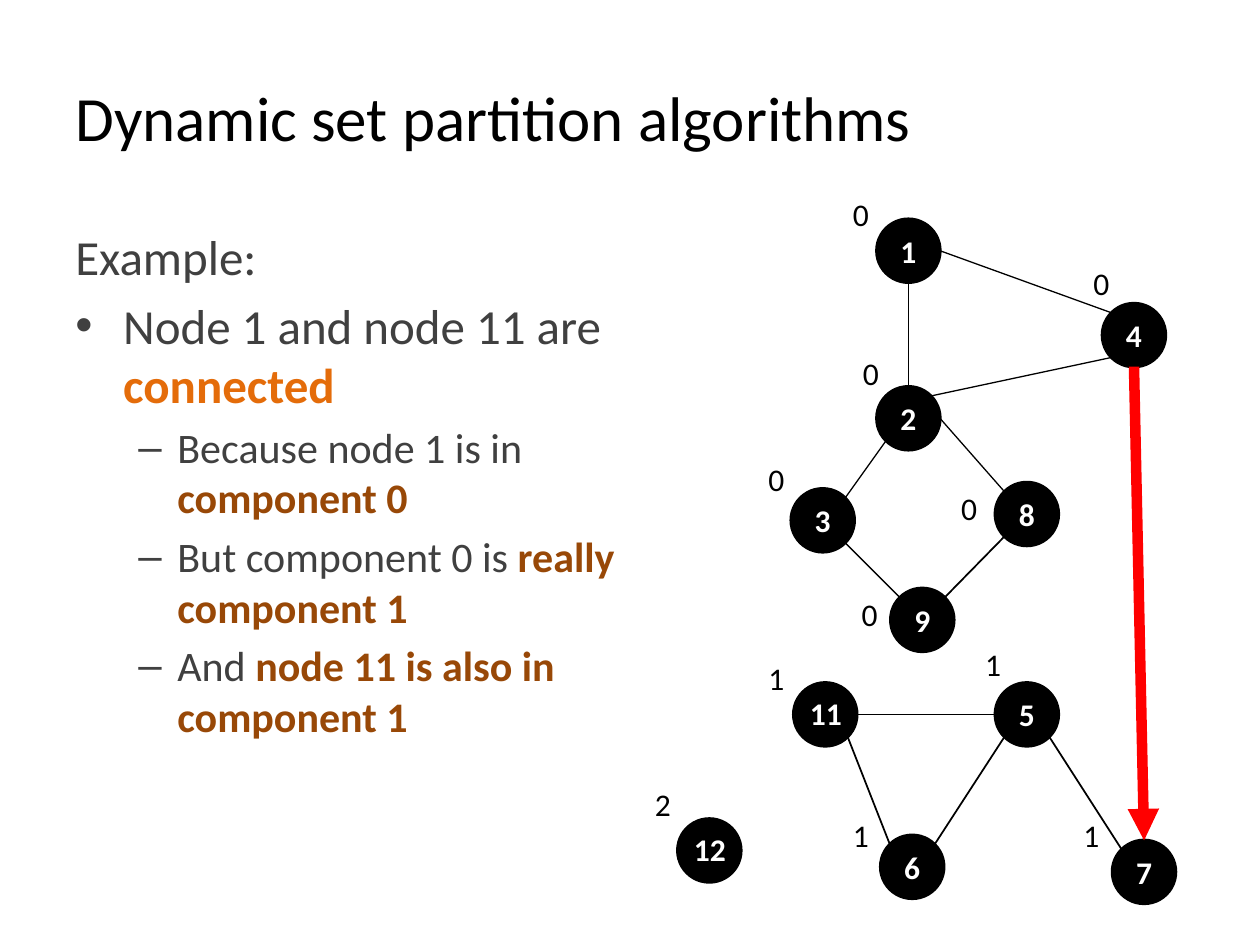
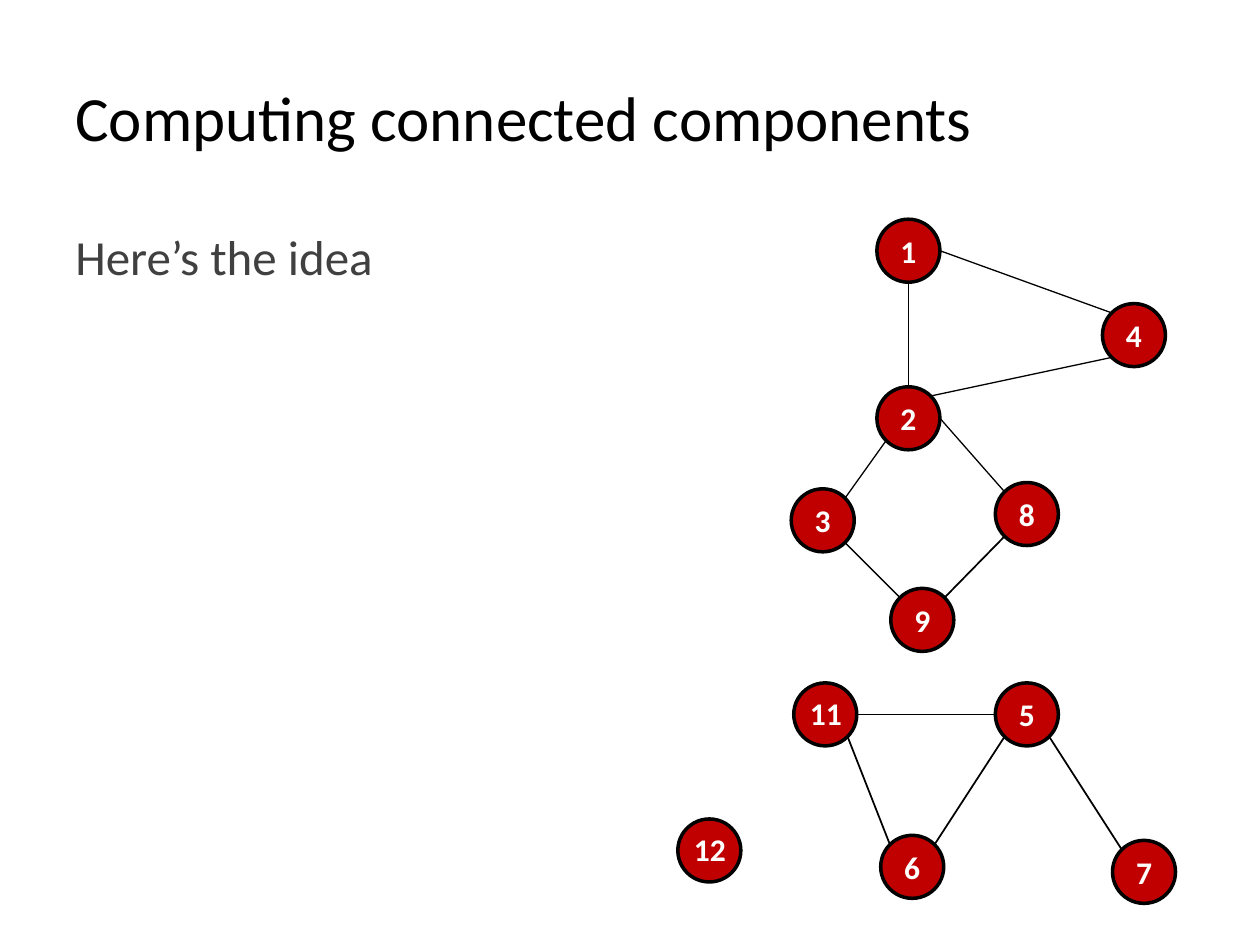
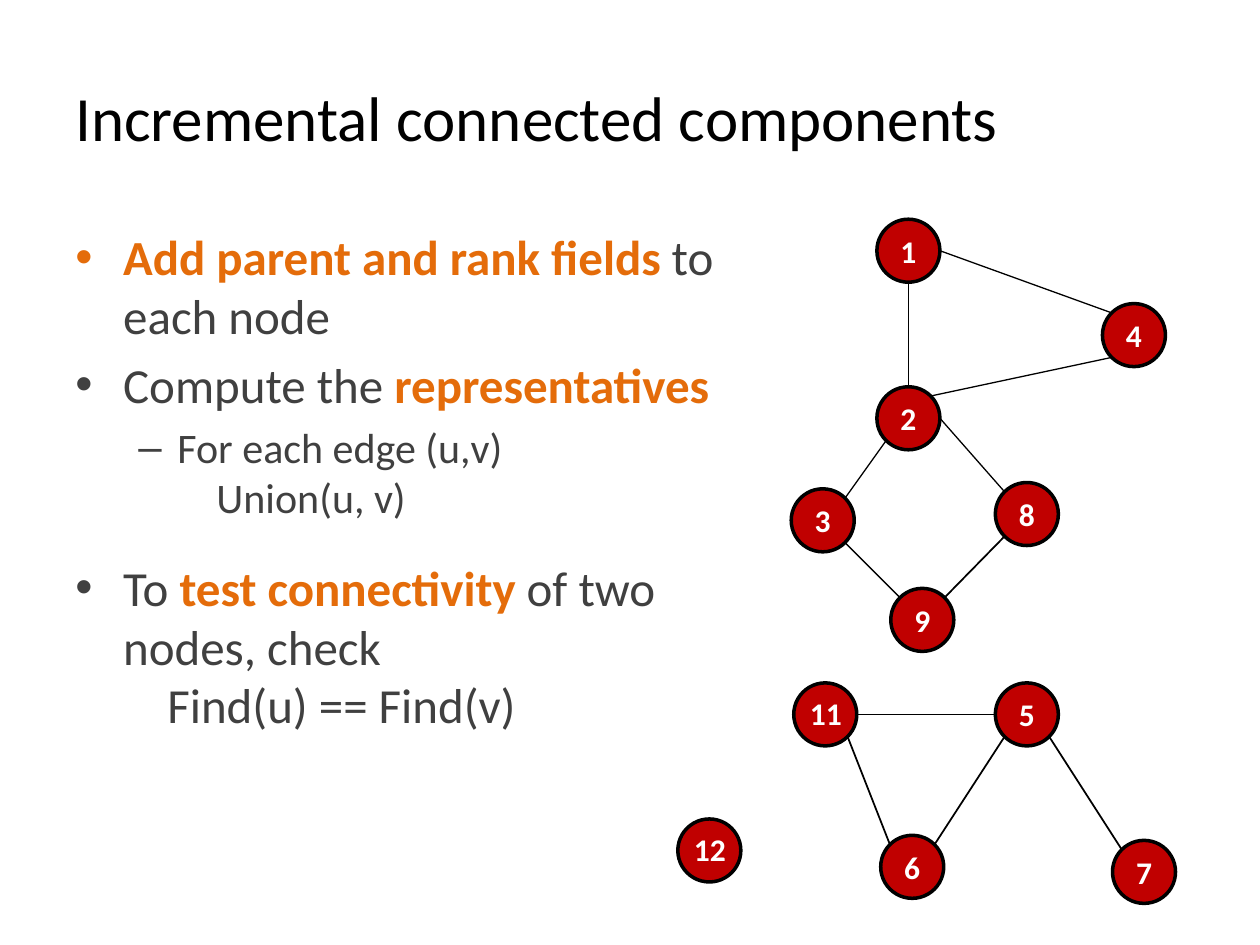
from lxml.etree import SubElement
from pptx import Presentation
from pptx.dml.color import RGBColor
from pptx.enum.shapes import MSO_CONNECTOR, MSO_SHAPE
from pptx.enum.text import MSO_ANCHOR, MSO_AUTO_SIZE, PP_ALIGN
from pptx.oxml.ns import qn
from pptx.util import Pt

PX = 9144
SIZE = 50
DIAG = 0.5 ** 0.5
FONT = "Calibri"
COLORS = {
    "black": "000000",
    "white": "FFFFFF",
    "gray": "404040",
    "orange": "E46C0A",
    "brown": "984807",
    "maroon": "C00000",
    "red": "FF0000",
}
NODES = {
    "2": (696, 307), "3": (628, 388), "5": (790, 542), "4": (875, 241),
    "7": (883, 667), "6": (699, 663), "1": (696, 174), "8": (790, 383),
    "9": (707, 467), "11": (630, 542), "12": (538, 650),
}
SIDES = {
    "n": (0, -1), "e": (1, 0), "s": (0, 1), "w": (-1, 0),
    "ne": (DIAG, -DIAG), "se": (DIAG, DIAG),
    "sw": (-DIAG, DIAG), "nw": (-DIAG, -DIAG),
}
EDGES = [
    ("5", "se", "7", "nw", 1), ("6", "ne", "5", "sw", 1),
    ("3", "ne", "2", "sw", 0.75), ("2", "ne", "4", "sw", 0.75),
    ("1", "s", "2", "n", 0.75), ("4", "nw", "1", "e", 0.75),
    ("9", "ne", "8", "sw", 1), ("3", "se", "9", "nw", 0.75),
    ("2", "e", "8", "nw", 0.75), ("6", "nw", "11", "se", 1),
    ("5", "w", "11", "e", 1),
]
TAGS = [
    ("0", 667, 150), ("0", 675, 276), ("0", 600, 360), ("0", 674, 467),
    ("0", 753, 383), ("0", 858, 205), ("1", 772, 507), ("1", 667, 643),
    ("1", 600, 518), ("1", 850, 643), ("2", 510, 618),
]
LEVELS = {
    "plain": (0, 28, 0, 0, None),
    "dot": (0, 28, 38, -38, "•"),
    "dash": (1, 24, 81, -31, "–"),
    "dot code": (0, 28, 73, 0, None),
    "dash code": (1, 24, 112, 0, None),
}


def color(name):
    return RGBColor.from_string(COLORS[name])


class Deck:
    def __init__(self):
        self.file = Presentation()
        self.file.slide_width = 1000 * PX
        self.file.slide_height = 750 * PX
        self.slide = None

    def page(self, title):
        self.slide = self.file.slides.add_slide(self.file.slide_layouts[6])
        frame = self.box(50, 30, 900, 125)
        frame.vertical_anchor = MSO_ANCHOR.MIDDLE
        self.run(frame.paragraphs[0], title, 36, "black")

    def box(self, x, y, w, h, wrap=True):
        box = self.slide.shapes.add_textbox(x * PX, y * PX, w * PX, h * PX)
        frame = box.text_frame
        frame.word_wrap = wrap
        frame.auto_size = MSO_AUTO_SIZE.NONE if wrap else MSO_AUTO_SIZE.SHAPE_TO_FIT_TEXT
        return frame

    def run(self, para, text, size, tint, bold=False):
        run = para.add_run()
        run.text = text
        run.font.name = FONT
        run.font.size = Pt(size)
        run.font.bold = bold
        run.font.color.rgb = color(tint)

    def body(self, items):
        frame = self.box(50, 175, 537, 495)
        for spot, (kind, gap, runs) in enumerate(items):
            para = frame.add_paragraph() if spot else frame.paragraphs[0]
            level, size, left, hang, mark = LEVELS[kind]
            para.level = level
            para.space_before = Pt(size / 5 if gap is None else gap)
            props = para._p.get_or_add_pPr()
            props.set("marL", str(left * PX))
            props.set("indent", str(hang * PX))
            if mark:
                SubElement(props, qn("a:buFont")).set("typeface", "Arial")
                SubElement(props, qn("a:buChar")).set("char", mark)
            for text, tint in runs:
                self.run(para, text, size, tint, tint != "gray")

    def label(self, text, x, y, w, tint="black", bold=False):
        frame = self.box(x, y, w, 40, False)
        self.run(frame.paragraphs[0], text, 18, tint, bold)

    def node(self, name, fill):
        x, y = NODES[name]
        disc = self.slide.shapes.add_shape(MSO_SHAPE.OVAL, x * PX, y * PX, SIZE * PX, SIZE * PX)
        disc.shadow.inherit = False
        disc.fill.solid()
        disc.fill.fore_color.rgb = color(fill)
        disc.line.color.rgb = color("black")
        disc.line.width = Pt(2)
        if len(name) > 1:
            self.label(name, x + 3, y + 4, 46, "white", True)
            return
        frame = disc.text_frame
        frame.vertical_anchor = MSO_ANCHOR.MIDDLE
        para = frame.paragraphs[0]
        para.alignment = PP_ALIGN.CENTER
        self.run(para, name, 18, "white", True)

    def point(self, name, side):
        return [round((base + SIZE / 2 * (1 + step)) * PX)
                for base, step in zip(NODES[name], SIDES[side])]

    def edge(self, start, out, end, into, width, tint="black", arrow=False):
        line = self.slide.shapes.add_connector(
            MSO_CONNECTOR.STRAIGHT, *self.point(start, out), *self.point(end, into))
        line.line.color.rgb = color(tint)
        line.line.width = Pt(width)
        if arrow:
            SubElement(line.line._get_or_add_ln(), qn("a:tailEnd")).set("type", "triangle")
        SubElement(line._element.spPr, qn("a:effectLst"))

    def graph(self, fill):
        for name in NODES:
            self.node(name, fill)
        for edge in EDGES:
            self.edge(*edge)


def main():
    deck = Deck()

    deck.page("Dynamic set partition algorithms")
    deck.body([
        ("plain", None, [("Example:", "gray")]),
        ("dot", None, [("Node 1 and node 11 are ", "gray"), ("connected", "orange")]),
        ("dash", None, [("Because node 1 is in ", "gray"), ("component 0", "brown")]),
        ("dash", None, [("But component 0 is ", "gray"), ("really component 1", "brown")]),
        ("dash", None, [("And ", "gray"), ("node 11 is also in component 1", "brown")]),
    ])
    deck.graph("black")
    for text, x, y in TAGS:
        deck.label(text, x, y, 33)
    deck.edge("4", "s", "7", "n", 6, "red", True)

    deck.page("Computing connected components")
    deck.body([("plain", None, [("Here’s the idea", "gray")])])
    deck.graph("maroon")

    deck.page("Incremental connected components")
    deck.body([
        ("dot", None, [("Add parent and rank fields", "orange"), (" to each node", "gray")]),
        ("dot", None, [("Compute the ", "gray"), ("representatives", "orange")]),
        ("dash", None, [("For each edge (u,v)", "gray")]),
        ("dash code", 0, [("Union(u, v)", "gray")]),
        ("dot", 20, [("To ", "gray"), ("test connectivity ", "orange"),
                     ("of two nodes, check", "gray")]),
        ("dot code", 0, [("Find(u) == Find(v)", "gray")]),
    ])
    deck.graph("maroon")

    deck.file.save("out.pptx")


if __name__ == "__main__":
    main()
